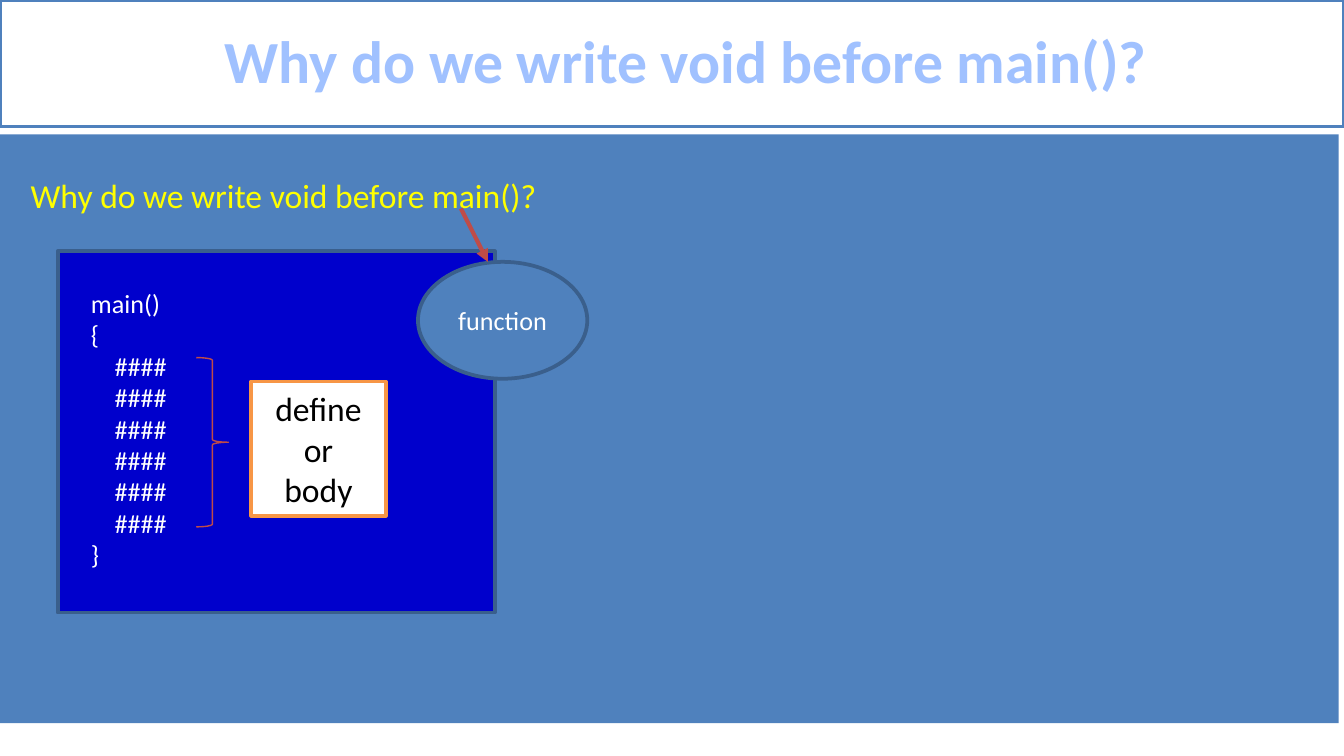
import dataclasses

import lxml.etree
import pptx
import pptx.dml.color
import pptx.enum.shapes
import pptx.enum.text
import pptx.oxml.ns
import pptx.util

Cm = pptx.util.Cm
Shapes = pptx.enum.shapes.MSO_SHAPE
Align = pptx.enum.text.PP_ALIGN
Anchor = pptx.enum.text.MSO_ANCHOR


@dataclasses.dataclass(frozen=True)
class Theme:
    font: str = "Calibri"
    blue: str = "4F81BD"
    edge: str = "3A5F8C"
    navy: str = "0000CC"
    white: str = "FFFFFF"
    black: str = "000000"
    yellow: str = "FFFF00"
    orange: str = "F79646"
    red: str = "BF4C48"
    heading: str = "A0C1FF"
    heading_size: float = 32
    large: float = 18
    small: float = 14
    thin: float = 0.75
    outline: float = 2
    arrow: float = 2.25


def rgb(value):
    return pptx.dml.color.RGBColor.from_string(value)


def apply_formats(target, formats):
    for name, value in formats.items():
        setattr(target, name, value)


class SlideBuilder:
    def __init__(self, slide, theme):
        self.slide = slide
        self.theme = theme

    def paint(self, shape, fill=None, line=None, width=None):
        if fill:
            shape.fill.solid()
            shape.fill.fore_color.rgb = rgb(fill)
        else:
            shape.fill.background()
        if line:
            shape.line.color.rgb = rgb(line)
            shape.line.width = pptx.util.Pt(width or self.theme.outline)
        else:
            shape.line.fill.background()

    def fill_text(self, shape, lines, size, color, frame=None, paragraph_format=None,
                  bold=False, margin=0, indent=0):
        text_frame = shape.text_frame
        apply_formats(text_frame, {"word_wrap": True,
                                   "auto_size": pptx.enum.text.MSO_AUTO_SIZE.NONE,
                                   **(frame or {})})
        text_frame.text = "\n".join(lines)
        for paragraph in text_frame.paragraphs:
            properties = paragraph._p.get_or_add_pPr()
            properties.set("marL", str(Cm(margin)))
            properties.set("indent", str(Cm(indent)))
            apply_formats(paragraph, paragraph_format or {})
            for run in paragraph.runs:
                apply_formats(run.font, {"name": self.theme.font, "bold": bold,
                                         "size": pptx.util.Pt(size)})
                run.font.color.rgb = rgb(color)

    def title(self, box, text):
        shape = self.slide.shapes.title
        apply_formats(shape, dict(zip(("left", "top", "width", "height"), map(Cm, box))))
        self.paint(shape, self.theme.white, self.theme.blue)
        self.fill_text(shape, [text], self.theme.heading_size, self.theme.heading,
                       {"vertical_anchor": Anchor.MIDDLE},
                       {"alignment": Align.CENTER, "line_spacing": 0.96},
                       bold=True, margin=0.53)

    def shape(self, kind, box, **style):
        shape = self.slide.shapes.add_shape(kind, *map(Cm, box))
        shape.shadow.inherit = False
        self.paint(shape, **style)
        return shape

    def label(self, kind, box, lines, size, color, **style):
        shape = self.shape(kind, box, **style)
        self.fill_text(shape, lines, size, color, {"vertical_anchor": Anchor.MIDDLE},
                       {"alignment": Align.CENTER})

    def text(self, box, lines, size, color, **style):
        shape = self.slide.shapes.add_textbox(*map(Cm, box))
        self.fill_text(shape, lines, size, color, **style)

    def arrow(self, start, end):
        connector = self.slide.shapes.add_connector(
            pptx.enum.shapes.MSO_CONNECTOR.STRAIGHT, *map(Cm, start + end))
        connector.line.color.rgb = rgb(self.theme.red)
        connector.line.width = pptx.util.Pt(self.theme.arrow)
        qualified = pptx.oxml.ns.qn
        line = connector.line._get_or_add_ln()
        lxml.etree.SubElement(line, qualified("a:tailEnd"), type="triangle")
        lxml.etree.SubElement(connector._element.spPr, qualified("a:effectLst"))


def main():
    theme = Theme()
    presentation = pptx.Presentation()
    presentation.slide_width = Cm(25.4)
    presentation.slide_height = Cm(14.29)
    slide = presentation.slides.add_slide(presentation.slide_layouts[5])
    builder = SlideBuilder(slide, theme)

    question = "Why do we write void before main()?"
    code = ["main()", "{", *["    ####"] * 6, "}"]

    builder.title((0, 0, 25.4, 2.39), question)
    builder.shape(Shapes.RECTANGLE, (-0.1, 2.54, 25.4, 11.13), fill=theme.blue)
    builder.text((0.33, 3.18, 10.19, 10.26), [question], theme.large, theme.yellow,
                 frame={"word_wrap": False})
    builder.shape(Shapes.RECTANGLE, (1.09, 4.75, 8.26, 6.83),
                  fill=theme.navy, line=theme.edge)
    builder.text((1.47, 5.31, 7.65, 5.64), code, theme.small, theme.white,
                 margin=0.97, indent=-0.97)
    builder.shape(Shapes.RIGHT_BRACE, (3.71, 6.76, 0.61, 3.2),
                  line=theme.red, width=theme.thin)
    builder.label(Shapes.RECTANGLE, (4.75, 7.21, 2.54, 2.54), ["define", "or", "body"],
                  theme.large, theme.black, fill=theme.white, line=theme.orange)
    builder.label(Shapes.OVAL, (7.9, 4.95, 3.2, 2.21), ["function"],
                  theme.small, theme.white, fill=theme.blue, line=theme.edge)
    builder.arrow((8.71, 3.94), (9.22, 4.95))

    presentation.save("out.pptx")


if __name__ == "__main__":
    main()
